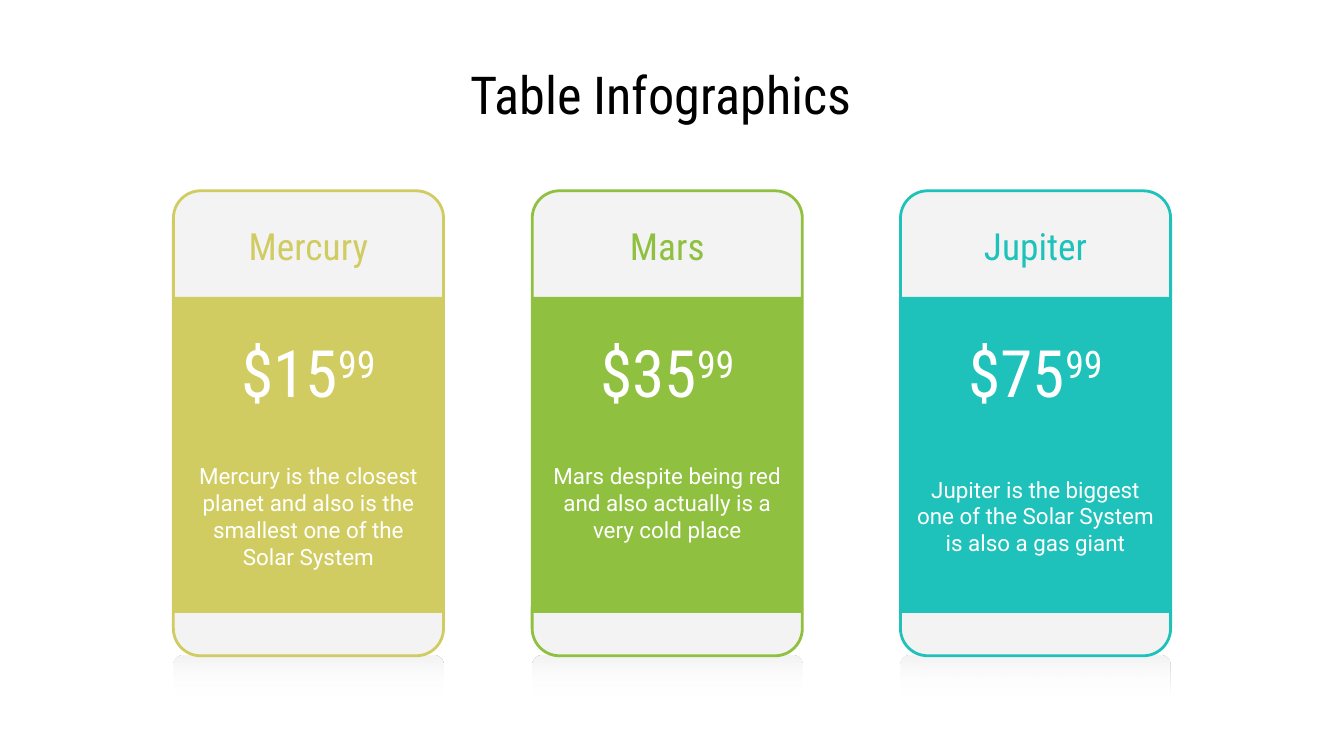
from lxml import etree
from pptx import Presentation
from pptx import util as u
from pptx.dml.color import RGBColor
from pptx.enum import shapes, text
from pptx.oxml.ns import qn

WIDTH = 10
HEIGHT = WIDTH * 9 / 16
CARD_WIDTH, CARD_TOP, CARD_BOTTOM = 2.01, 1.42, 4.88
CORNER = 0.101
HEADING_FONT, BODY_FONT = "Roboto Condensed", "Roboto"
PALE, WHITE = "F3F3F3", "FFFFFF"

CARDS = [
    (1.29, "Mercury", "$15", "D1CC62", 0.05,
     "Mercury is the closest planet and also is the smallest one of the Solar System"),
    (3.96, "Mars", "$35", "8FC03F", 0.25,
     "Mars despite being red and also actually is a very cold place"),
    (6.7, "Jupiter", "$75", "1FC2BA", 0.05,
     "Jupiter is the biggest one of the Solar System is also a gas giant"),
]


def paint(color_format, color):
    color_format.rgb = RGBColor.from_string(color)


def add_panel(parent, kind, left, top, height, fill=None, line=None):
    panel = parent.shapes.add_shape(
        kind, *map(u.Inches, (left, top, CARD_WIDTH, height)))
    panel.shadow.inherit = False
    if kind == shapes.MSO_SHAPE.ROUNDED_RECTANGLE:
        panel.adjustments[0] = CORNER
    if fill:
        panel.fill.solid()
        paint(panel.fill.fore_color, fill)
    if line:
        paint(panel.line.color, line)
        panel.line.width = u.Pt(1.5)
    else:
        panel.line.fill.background()
    return panel


def add_reflection(parent, left):
    panel = add_panel(parent, shapes.MSO_SHAPE.ROUNDED_RECTANGLE,
                      left, CARD_BOTTOM, HEIGHT - CARD_BOTTOM)
    panel.fill.gradient()
    panel.fill.gradient_angle = 270
    start, end = panel.fill.gradient_stops
    paint(start.color, PALE)
    paint(end.color, WHITE)
    start.position, end.position = 0, 0.4
    end_color = panel._element.spPr.findall(".//" + qn("a:srgbClr"))[-1]
    etree.SubElement(end_color, qn("a:alpha")).set("val", "0")


def add_label(parent, place, words, size, font, color,
              align=text.PP_ALIGN.CENTER, top_inset=0.05, bottom_inset=0.05):
    box = parent.shapes.add_textbox(*map(u.Inches, place))
    frame = box.text_frame
    frame.word_wrap = True
    frame.vertical_anchor = text.MSO_ANCHOR.MIDDLE
    frame.margin_top = u.Inches(top_inset)
    frame.margin_bottom = u.Inches(bottom_inset)
    para = frame.paragraphs[0]
    para.alignment = align
    for word in words:
        span = para.add_run()
        span.text = word
        span.font.size = u.Pt(size)
        span.font.name = font
        paint(span.font.color, color)
    return para


def add_card(page, left, name, price, color, bottom_inset, body):
    card = page.shapes.add_group_shape()
    add_reflection(card, left)
    add_panel(card, shapes.MSO_SHAPE.ROUNDED_RECTANGLE, left, CARD_TOP,
              CARD_BOTTOM - CARD_TOP, PALE, color)
    add_panel(card, shapes.MSO_SHAPE.RECTANGLE, left, 2.21, 2.35, color)
    add_label(card, (left, 1.62, CARD_WIDTH, 0.42), [name],
              20, HEADING_FONT, color)
    amount = add_label(card, (left, 2.49, CARD_WIDTH, 0.55), [price, "99"],
                       35, HEADING_FONT, WHITE)
    amount.runs[1].font._element.set("baseline", "30000")
    add_label(card, (left, 3.19, CARD_WIDTH, 1.3), [body],
              12, BODY_FONT, WHITE, bottom_inset=bottom_inset)


def main():
    deck = Presentation()
    deck.slide_width, deck.slide_height = u.Inches(WIDTH), u.Inches(HEIGHT)
    page = deck.slides.add_slide(deck.slide_layouts[6])
    add_label(page, (3.4, 0.45, 3.21, 0.49), ["Table Infographics"], 28,
              HEADING_FONT, "000000", text.PP_ALIGN.LEFT, 0.1, 0.1)
    for card in CARDS:
        add_card(page, *card)
    deck.save("out.pptx")


if __name__ == "__main__":
    main()
